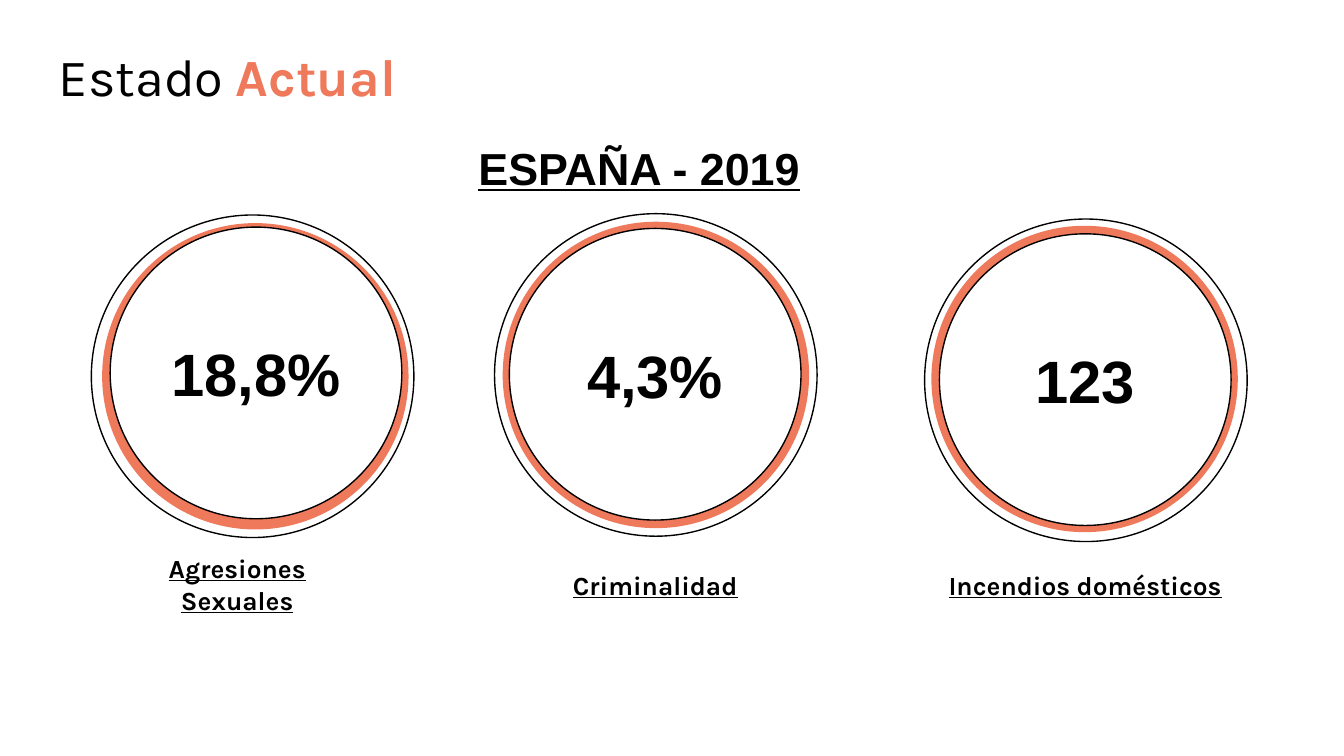
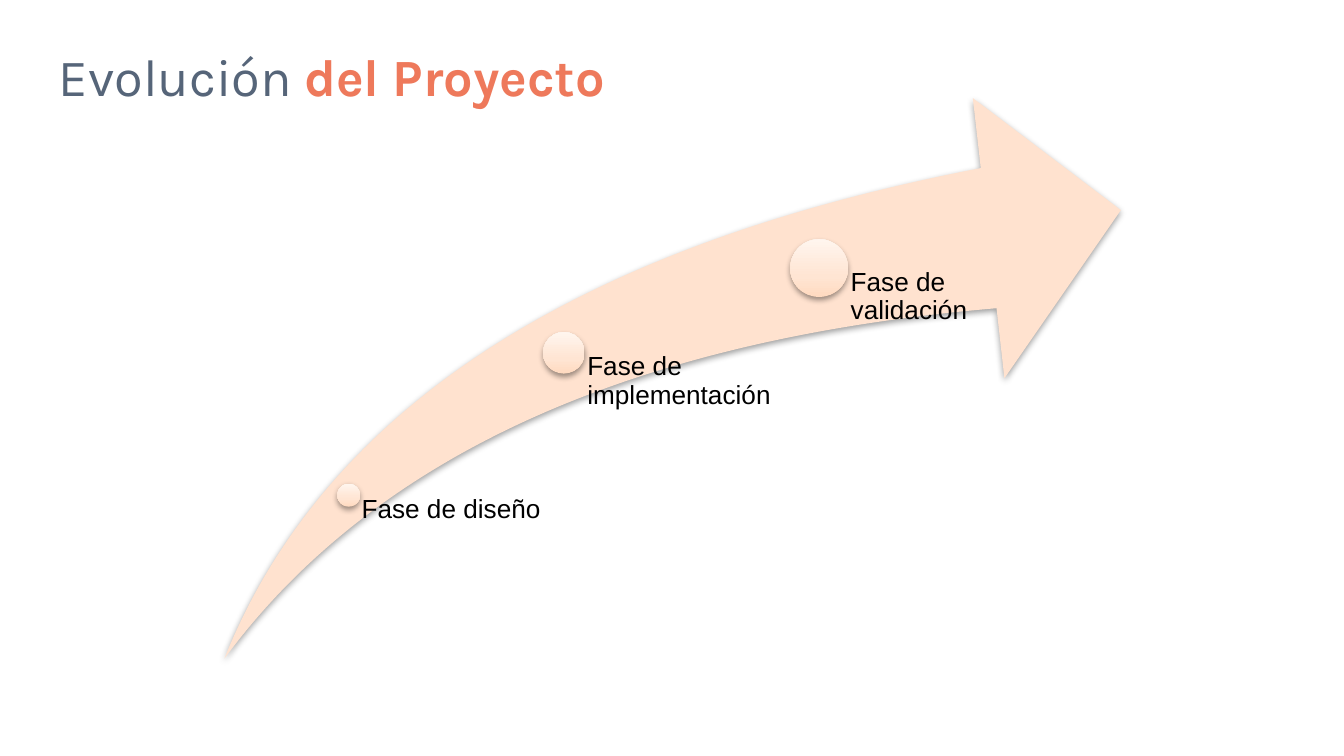
from copy import deepcopy
from lxml.etree import SubElement
from pptx import Presentation
from pptx.dml.color import RGBColor
from pptx.enum.shapes import MSO_SHAPE
from pptx.enum.text import MSO_ANCHOR, PP_ALIGN
from pptx.oxml.ns import qn
from pptx.util import Inches, Pt

BLACK, WHITE, CORAL, SLATE, PEACH = "000000", "FFFFFF", "EE795B", "566579", "FFE2CF"
SHADE = [(0, "FFDAC0"), (0.35, "FFE5D3"), (1, "FFF5EE")]


def tint(code):
    return RGBColor.from_string(code)


def write(shape, runs, font, size, align=PP_ALIGN.CENTER, anchor=MSO_ANCHOR.MIDDLE,
          pads=(0.1, 0.1, 0.1, 0.1), line=None):
    frame = shape.text_frame
    frame.word_wrap = True
    frame.vertical_anchor = anchor
    frame.margin_left, frame.margin_top, frame.margin_right, frame.margin_bottom = map(Inches, pads)
    par = frame.paragraphs[0]
    par.alignment = align
    if line:
        par.line_spacing = line
    for text, color, bold, under in runs:
        run = par.add_run()
        run.text = text
        run.font.name = font
        run.font.size = Pt(size)
        run.font.bold = bold
        run.font.underline = under
        run.font.color.rgb = tint(color)


deck = Presentation()
deck.slide_width = Inches(10)
deck.slide_height = Inches(10 * 9 / 16)

titles = [("Estado ", BLACK, "Actual"), ("Evolución ", SLATE, "del Proyecto")]
slides = []
for start, color, end in titles:
    slide = deck.slides.add_slide(deck.slide_layouts[6])
    title = slide.shapes.add_textbox(*map(Inches, (0.34, 0.23, 9.32, 0.51)))
    write(title, [(start, color, False, False), (end, CORAL, True, False)],
          "Karla", 28, PP_ALIGN.LEFT, MSO_ANCHOR.TOP)
    slides.append(slide)
state, growth = slides

head = state.shapes.add_shape(MSO_SHAPE.RECTANGLE, *map(Inches, (3.29, 1.02, 2.93, 0.45)))
head.shadow.inherit = False
head.fill.solid()
head.fill.fore_color.rgb = tint(WHITE)
head.line.color.rgb = tint(WHITE)
head.line.width = Pt(2)
write(head, [("ESPAÑA - 2019", BLACK, True, True)], "Arial", 24)

rings = [(2.28, CORAL, False), (2.4, None, True), (2.17, WHITE, True)]
facts = [
    ("18,8%", "Agresiones Sexuales", (0.72, 4.17, 2.09), [(0.76, 1.66), (0.68, 1.6), (0.82, 1.69)]),
    ("4,3%", "Criminalidad", (3.83, 4.18, 2.09), [(3.74, 1.65), (3.68, 1.59), (3.79, 1.7)]),
    ("123", "Incendios domésticos", (6.86, 4.18, 2.43), [(6.93, 1.68), (6.88, 1.63), (6.99, 1.74)]),
]
for value, name, place, spots in facts:
    label = state.shapes.add_textbox(*map(Inches, (*place, 0.35)))
    write(label, [(name, BLACK, True, True)], "Karla", 14)
    for (size, color, edge), (left, top) in zip(rings, spots):
        ring = state.shapes.add_shape(MSO_SHAPE.OVAL, *map(Inches, (left, top, size, size)))
        ring.shadow.inherit = False
        if color:
            ring.fill.solid()
            ring.fill.fore_color.rgb = tint(color)
        else:
            ring.fill.background()
        if edge:
            ring.line.color.rgb = tint(BLACK)
            ring.line.width = Pt(0.75)
        else:
            ring.line.fill.background()
    write(ring, [(value, BLACK, True, False)], "Arial", 32)

arrow = growth.shapes.add_shape(MSO_SHAPE.SWOOSH_ARROW, *map(Inches, (1.67, 0.73, 6.67, 4.17)))
arrow.adjustments[0] = 0.25
arrow.adjustments[1] = 0.25
arrow.fill.solid()
arrow.fill.fore_color.rgb = tint(PEACH)
raised = [arrow]

phases = [
    ("Fase de diseño", (2.51, 3.6, 0.17), (2.6, 3.69, 1.55, 1.2), 0.09),
    ("Fase de implementación", (4.04, 2.47, 0.31), (4.2, 2.63, 1.6, 2.27), 0.17),
    ("Fase de validación", (5.88, 1.78, 0.43), (6.1, 2, 1.6, 2.9), 0.23),
]
for name, (left, top, size), place, pad in phases:
    ball = growth.shapes.add_shape(MSO_SHAPE.OVAL, *map(Inches, (left, top, size, size)))
    ball.fill.gradient()
    ball.fill.gradient_angle = 90
    stops = ball.element.spPr.find(".//" + qn("a:gsLst"))
    stops.append(deepcopy(stops[0]))
    for stop, (where, color) in zip(ball.fill.gradient_stops, SHADE):
        stop.position = where
        stop.color.rgb = tint(color)
    raised.append(ball)
    label = growth.shapes.add_textbox(*map(Inches, place))
    write(label, [(name, BLACK, False, False)], "Arial", 14, PP_ALIGN.LEFT,
          MSO_ANCHOR.TOP, (pad, 0, 0, 0), 0.9)

for shape in raised:
    shape.line.fill.background()
    shape.shadow.inherit = False
    effects = shape.element.spPr.find(qn("a:effectLst"))
    shadow = SubElement(effects, qn("a:outerShdw"), blurRad=str(Pt(3.1)), dist=str(Pt(1.6)),
                        dir="5400000", rotWithShape="0")
    color = SubElement(shadow, qn("a:srgbClr"), val=BLACK)
    SubElement(color, qn("a:alpha"), val="38000")

deck.save("out.pptx")
